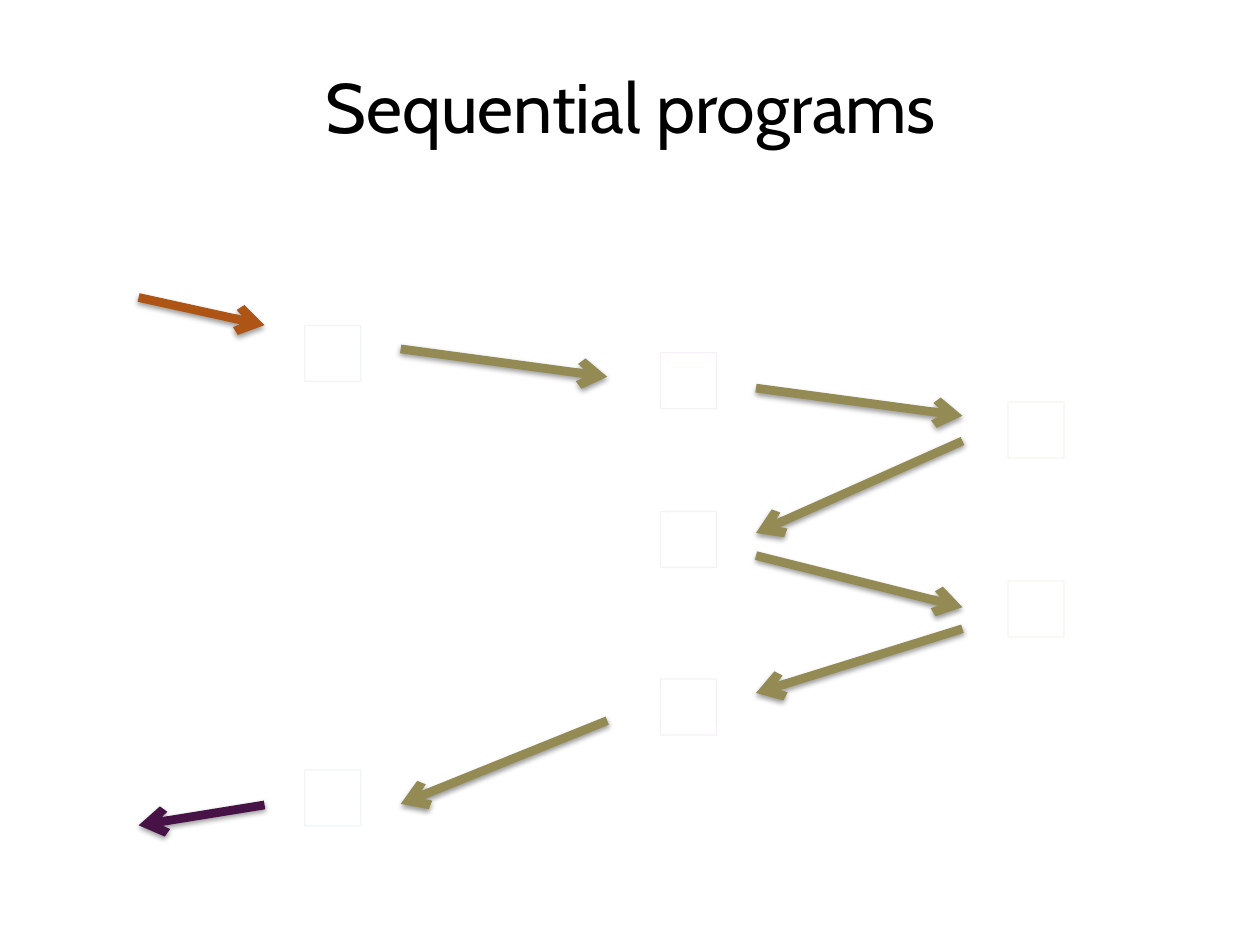
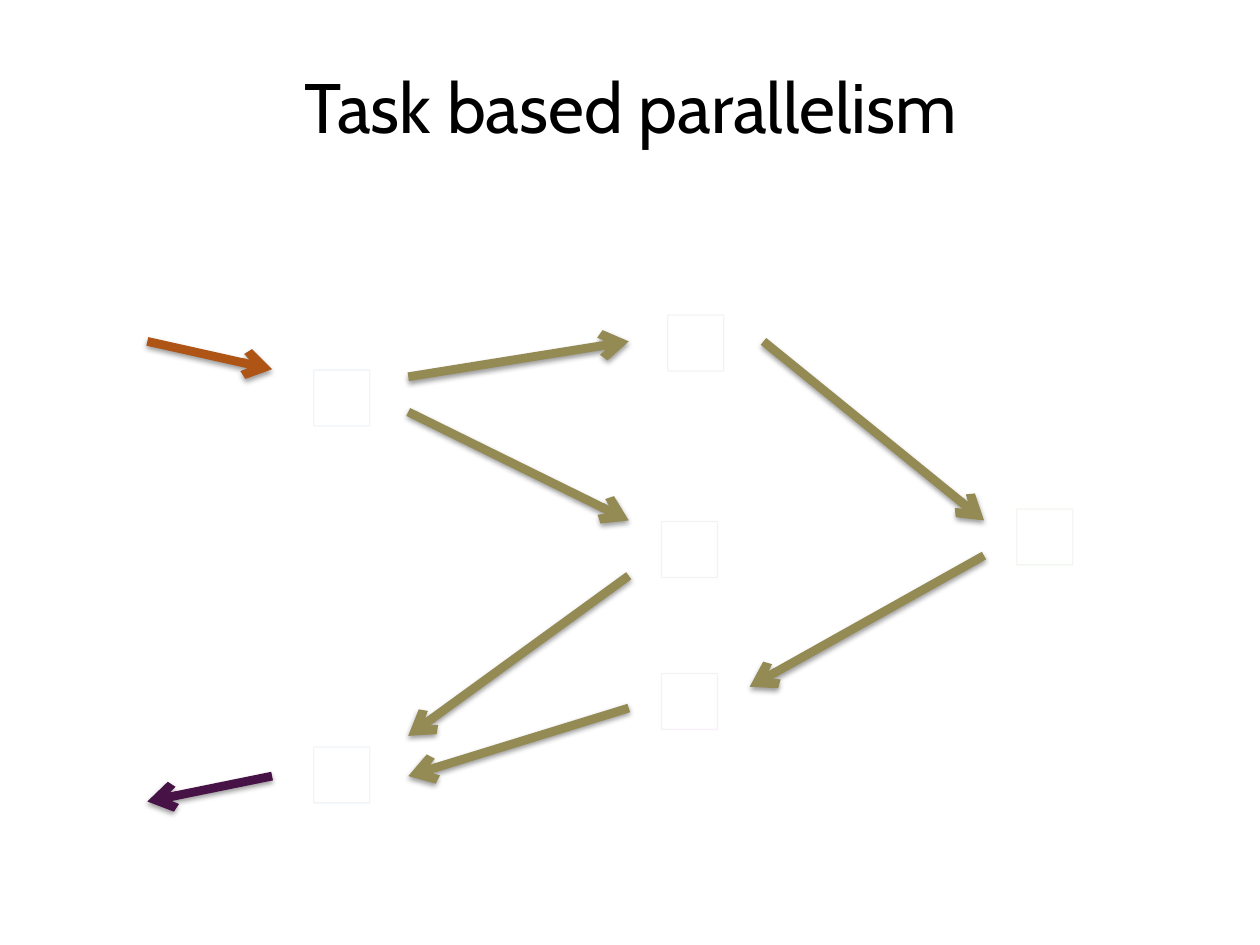
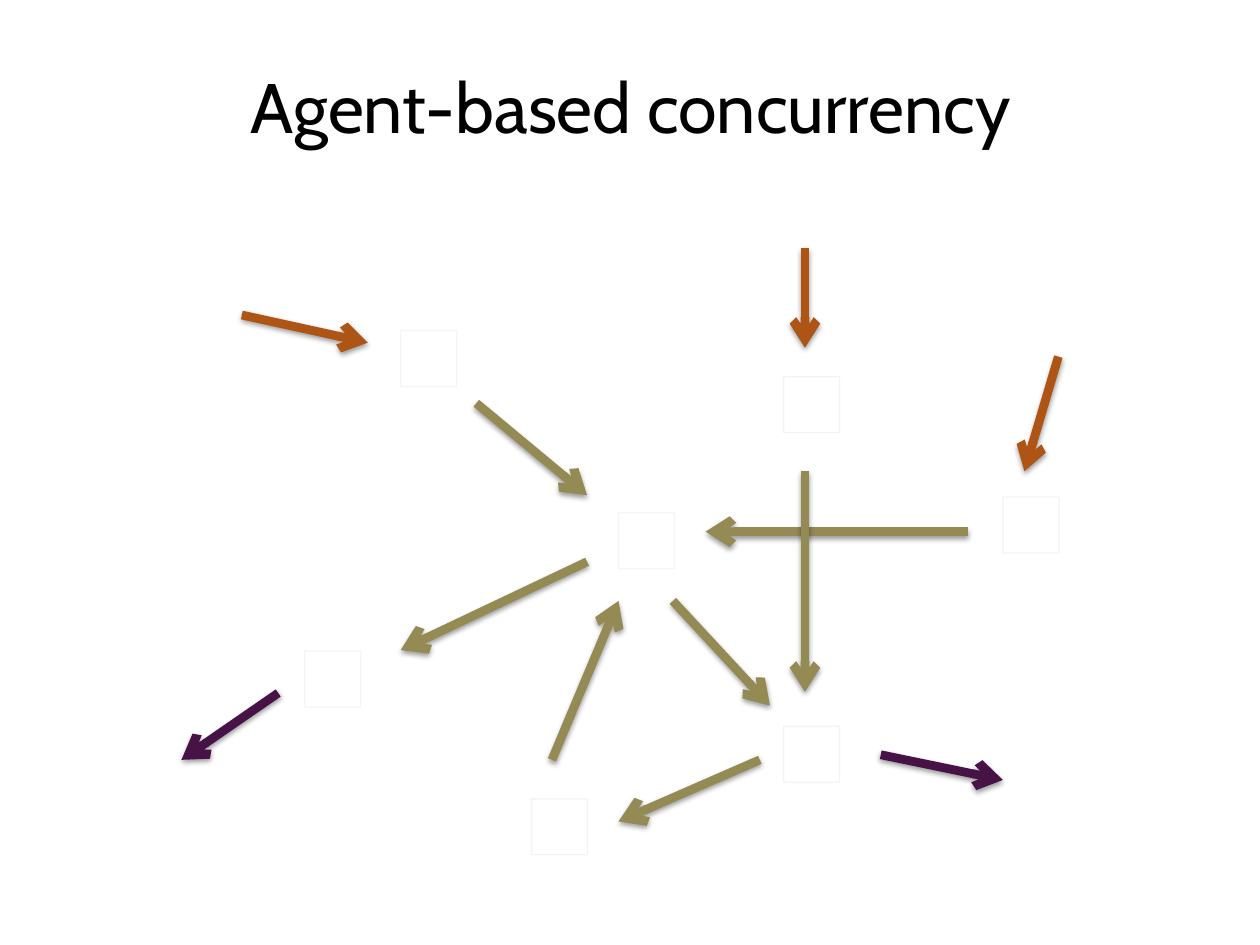
"""Build three slides that contrast sequential, task and agent programs."""
from lxml.etree import SubElement as Sub
from pptx import Presentation
from pptx.dml.color import RGBColor
from pptx.enum.shapes import MSO_CONNECTOR as Link, MSO_SHAPE as Form
from pptx.enum.text import MSO_ANCHOR as Anchor, PP_ALIGN as Align
from pptx.oxml.ns import qn
from pptx.util import Pt

FONT = "Cabin"
INK, PAPER = "000000", "FFFFFF"
BLUE, PLUM, GREEN = "00569B", "6A1C6A", "427D12"
FLOW, ENTRY, EXIT = "948A54", "AE5516", "471346"
BOX = 32
TITLE = (36.7, 20.2, 647.3, 79.9)

SLIDES = [
    {
        "title": "Sequential programs",
        "boxes": [
            (BLUE, [(174.2, 186), (174.2, 440)]),
            (PLUM, [(377.3, 201.6), (377.3, 292.3), (377.3, 388)]),
            (GREEN, [(576, 229.7), (576, 332)]),
        ],
        "arrows": [
            (FLOW, [
                (229, 199.4, 347, 215.3),
                (432, 221.8, 550, 237.6),
                (432, 317.5, 550, 347),
                (550, 252, 432, 304.6),
                (550, 359.3, 432, 396),
                (347, 411.8, 229, 459.4),
            ]),
            (ENTRY, [(79.2, 170, 151.2, 185.8)]),
            (EXIT, [(151.2, 460, 79.2, 471.6)]),
        ],
    },
    {
        "title": "Task based parallelism",
        "boxes": [
            (BLUE, [(179.3, 211.5), (179.3, 426.8)]),
            (PLUM, [(381.6, 180), (378, 298), (378, 384.8)]),
            (GREEN, [(581, 290.8)]),
        ],
        "arrows": [
            (FLOW, [
                (233.3, 215.3, 359.3, 195.1),
                (233.3, 235.4, 359.3, 297.4),
                (359.3, 329, 233.3, 420.5),
                (436.3, 195.1, 562.3, 297.4),
                (562.3, 317.5, 428.4, 392.4),
                (359.3, 404.6, 233.3, 443.5),
            ]),
            (ENTRY, [(84.2, 195.1, 155.5, 211)]),
            (EXIT, [(155.5, 443.5, 84.2, 458)]),
        ],
    },
    {
        "title": "Agent-based concurrency",
        "boxes": [
            (BLUE, [(229, 188.9), (303.8, 456.5), (573.1, 284)]),
            (PLUM, [(447.8, 215.2), (447.8, 415)]),
            (GREEN, [(174.2, 372), (353.5, 292.9)]),
        ],
        "arrows": [
            (FLOW, [
                (553, 303.8, 403.2, 303.8),
                (272.2, 230.4, 335.5, 283),
                (460, 269.3, 460, 395.3),
                (384.5, 343.4, 440, 403.2),
                (434.2, 434.2, 353.5, 469.4),
                (335.5, 321, 229, 371.5),
                (315.4, 434.2, 353.5, 343.4),
            ]),
            (ENTRY, [
                (138.2, 180, 210.2, 195.8),
                (604.8, 203.8, 585.4, 269.3),
                (460, 141.8, 460, 198.7),
            ]),
            (EXIT, [
                (503.3, 431.3, 573.1, 445.7),
                (159, 396, 103.7, 434.2),
            ]),
        ],
    },
]


def tint(color, code):
    color.rgb = RGBColor.from_string(code)


def add_title(slide, text):
    frame = slide.shapes.add_textbox(*map(Pt, TITLE)).text_frame
    frame.word_wrap = True
    frame.vertical_anchor = Anchor.MIDDLE
    para = frame.paragraphs[0]
    para.text = text
    para.alignment = Align.CENTER
    para.font.name = FONT
    para.font.size = Pt(40)
    tint(para.font.color, INK)


def add_box(slide, left, top, code):
    box = slide.shapes.add_shape(Form.RECTANGLE, *map(Pt, (left, top, BOX, BOX)))
    box.shadow.inherit = False
    box.fill.solid()
    tint(box.fill.fore_color, PAPER)
    box.line.width = Pt(0.75)
    tint(box.line.color, code)
    edge = box.element.spPr.find(f"{qn('a:ln')}//{qn('a:srgbClr')}")
    Sub(edge, qn("a:alpha"), val="6000")


def add_arrow(slide, ends, code):
    arrow = slide.shapes.add_connector(Link.STRAIGHT, *map(Pt, ends))
    arrow.line.width = Pt(5)
    tint(arrow.line.color, code)
    props = arrow.element.spPr
    Sub(props.find(qn("a:ln")), qn("a:tailEnd"), type="arrow")
    shade = Sub(Sub(props, qn("a:effectLst")), qn("a:outerShdw"),
                blurRad=str(Pt(3.1)), dist=str(Pt(1.6)), dir="5400000", rotWithShape="0")
    Sub(Sub(shade, qn("a:srgbClr"), val=INK), qn("a:alpha"), val="38000")


def main():
    deck = Presentation()
    deck.slide_width, deck.slide_height = Pt(720), Pt(540)
    for page in SLIDES:
        slide = deck.slides.add_slide(deck.slide_layouts[6])
        add_title(slide, page["title"])
        for code, spots in page["boxes"]:
            for left, top in spots:
                add_box(slide, left, top, code)
        for code, paths in page["arrows"]:
            for ends in paths:
                add_arrow(slide, ends, code)
    deck.save("out.pptx")


if __name__ == "__main__":
    main()
